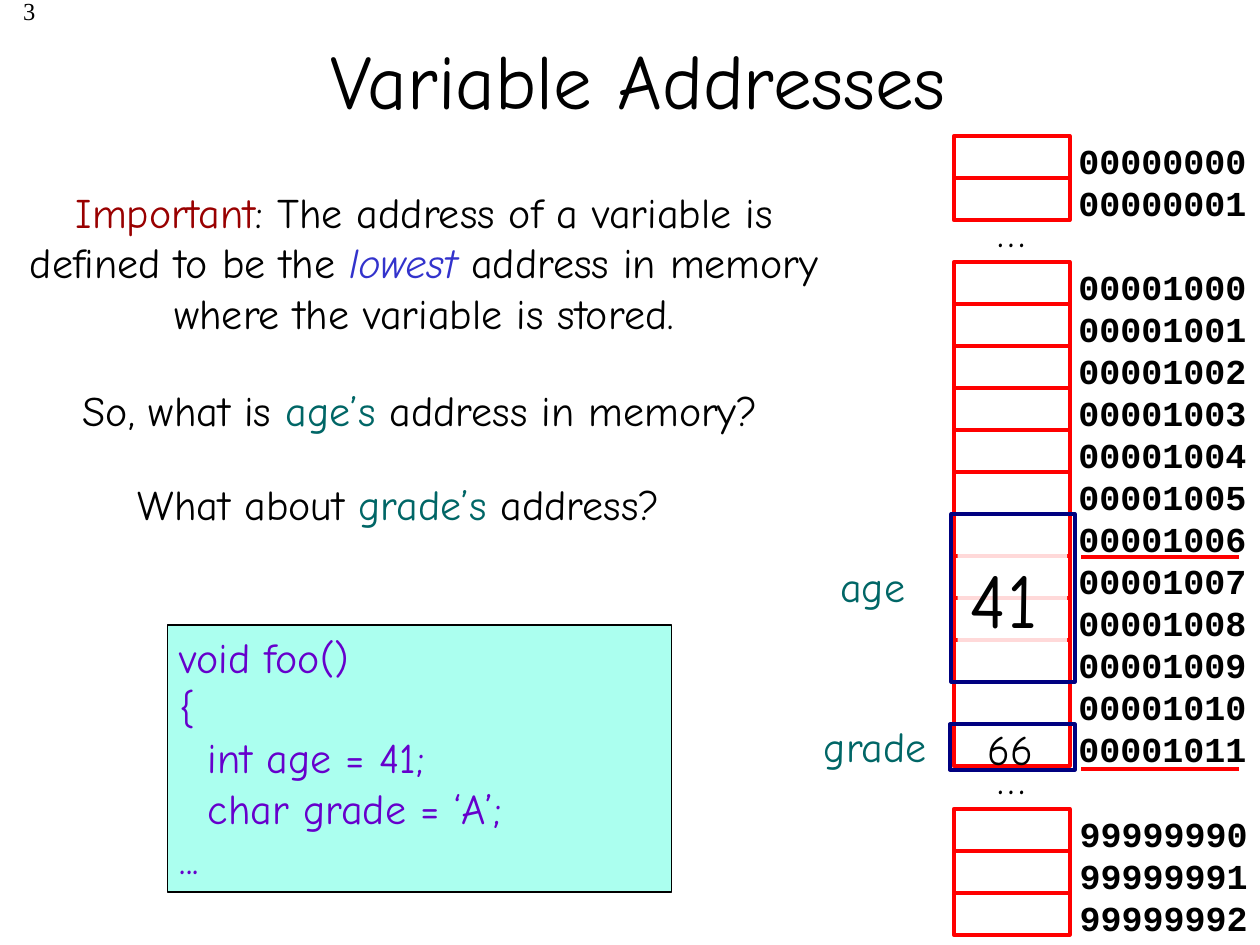
from lxml import etree
from pptx import Presentation
from pptx.dml.color import RGBColor
from pptx.enum.shapes import MSO_CONNECTOR, MSO_SHAPE
from pptx.enum.text import MSO_ANCHOR, PP_ALIGN
from pptx.oxml.ns import qn
from pptx.util import Inches, Pt

RECTANGLE = MSO_SHAPE.RECTANGLE
STRAIGHT = MSO_CONNECTOR.STRAIGHT
LEFT, CENTER, RIGHT = PP_ALIGN.LEFT, PP_ALIGN.CENTER, PP_ALIGN.RIGHT
TOP, MIDDLE = MSO_ANCHOR.TOP, MSO_ANCHOR.MIDDLE

BLACK = RGBColor(0x00, 0x00, 0x00)
WHITE = RGBColor(0xFF, 0xFF, 0xFF)
RED = RGBColor(0xFF, 0x00, 0x00)
DARK_RED = RGBColor(0x99, 0x00, 0x00)
BLUE = RGBColor(0x33, 0x33, 0xCC)
NAVY = RGBColor(0x00, 0x00, 0x80)
TEAL = RGBColor(0x00, 0x66, 0x66)
PURPLE = RGBColor(0x66, 0x00, 0xCC)
MINT = RGBColor(0xAB, 0xFF, 0xEF)

BODY_FONT = "Comic Neue"
ADDRESS_FONT = "Courier New"
CELL_LEFT, CELL_WIDTH = 7.57, 0.92
CELL_HEIGHT = 1 / 3


def add_rectangle(shapes, left, top, width, height, fill=None, line=None, weight=2.25):
    shape = shapes.add_shape(
        RECTANGLE, Inches(left), Inches(top), Inches(width), Inches(height))
    shape.shadow.inherit = False
    if fill is None:
        shape.fill.background()
    else:
        shape.fill.solid()
        shape.fill.fore_color.rgb = fill
    if line is None:
        shape.line.fill.background()
    else:
        shape.line.color.rgb = line
        shape.line.width = Pt(weight)
    return shape


def write_text(shape, paragraphs, size=24, color=BLACK, font=BODY_FONT,
               align=LEFT, anchor=TOP, wrap=True):
    """Each paragraph is a string or a list of (text, color, italic) runs."""
    frame = shape.text_frame
    frame.word_wrap = wrap
    frame.vertical_anchor = anchor
    for index, content in enumerate(paragraphs):
        paragraph = frame.add_paragraph() if index else frame.paragraphs[0]
        paragraph.alignment = align
        paragraph.font.size = Pt(size)
        paragraph.font.name = font
        if isinstance(content, str):
            paragraph.add_run().text = content
            paragraph.font.color.rgb = color
            continue
        for text, run_color, italic in content:
            run = paragraph.add_run()
            run.text = text
            run.font.color.rgb = run_color
            if italic:
                run.font.italic = True


presentation = Presentation()
presentation.slide_width = Inches(10)
presentation.slide_height = Inches(7.5)
slide = presentation.slides.add_slide(presentation.slide_layouts[6])
shapes = slide.shapes

# Slide number and title
number = shapes.add_textbox(0, Inches(-0.08), Inches(0.38), Inches(0.5))
write_text(number, ["3"], size=14, font="Times New Roman", align=RIGHT)
title = shapes.add_textbox(Inches(0.82), 0, Inches(8.5), Inches(1.25))
write_text(title, ["Variable Addresses"], size=44, align=CENTER, anchor=MIDDLE)

# Memory blocks: top of the cells, left of the addresses, addresses
memory_blocks = [
    (1.08, 8.46, ["00000000", "00000001"]),
    (2.08, 8.46, [f"{address:08d}" for address in range(1000, 1012)]),
    (6.42, 8.47, ["99999990", "99999991", "99999992"]),
]
for top, address_left, addresses in memory_blocks:
    for row in range(len(addresses)):
        add_rectangle(shapes, CELL_LEFT, top + row * CELL_HEIGHT,
                      CELL_WIDTH, CELL_HEIGHT, line=RED)
    column = shapes.add_textbox(Inches(address_left), Inches(top - 0.02), Inches(1.53),
                                Inches(len(addresses) * CELL_HEIGHT + 0.1))
    write_text(column, addresses, size=20, font=ADDRESS_FONT)
    column.text_frame.margin_right = 0
    for paragraph in column.text_frame.paragraphs:
        paragraph.font.bold = True
        paragraph.line_spacing = Pt(24)

# Gaps between the memory blocks
for top in (1.58, 5.92):
    gap = shapes.add_textbox(Inches(7.82), Inches(top), Inches(0.43), Inches(0.5))
    write_text(gap, ["…"], wrap=False)

# Explanation and questions
statements = [
    (0.07, 1.43, 6.59, 1.31, [
        ("Important", DARK_RED, False),
        (": The address of a variable is defined to be the ", BLACK, False),
        ("lowest ", BLUE, True),
        ("address in memory where the variable is stored.", BLACK, False)]),
    (0, 3, 6.67, 0.5, [
        ("So, what is ", BLACK, False), ("age’s ", TEAL, False),
        ("address in memory?", BLACK, False)]),
    (-0.17, 3.75, 6.67, 0.5, [
        ("What about ", BLACK, False), ("grade’s ", TEAL, False),
        ("address?", BLACK, False)]),
]
for left, top, width, height, runs in statements:
    statement = shapes.add_textbox(
        Inches(left), Inches(top), Inches(width), Inches(height))
    write_text(statement, [runs], align=CENTER)

# Variables: a label grouped with the frame around its cells
variables = [
    ("age", 6.57, 4.4, (7.55, 4.08, 0.98, 1.33)),
    ("grade", 6.44, 5.67, (7.54, 5.75, 0.99, 0.36)),
]
for name, left, top, frame_box in variables:
    group = shapes.add_group_shape()
    label = group.shapes.add_textbox(Inches(left), Inches(top), Inches(1.1), Inches(0.51))
    write_text(label, [name], color=TEAL)
    add_rectangle(group.shapes, *frame_box, line=NAVY)

# Values, the first on a slightly transparent white panel
age_value = add_rectangle(shapes, 7.6, 4.33, 0.87, 0.83, fill=WHITE)
panel_color = age_value.fill._xPr.find(qn("a:solidFill"))[0]
etree.SubElement(panel_color, qn("a:alpha"), val="85000")
write_text(age_value, ["41"], size=44)
grade_value = shapes.add_textbox(Inches(7.74), Inches(5.69), Inches(0.61), Inches(0.5))
write_text(grade_value, ["66"], wrap=False)

# Underlines of the two variable addresses
for y in (4.42, 6.1):
    underline = shapes.add_connector(
        STRAIGHT, Inches(8.58), Inches(y), Inches(9.83), Inches(y))
    underline.line.color.rgb = RED
    underline.line.width = Pt(2.25)
    etree.SubElement(underline._element.spPr, qn("a:effectLst"))

# Code
code = add_rectangle(shapes, 1.33, 4.96, 4, 2.12, fill=MINT, line=BLACK, weight=1)
write_text(code, ["void foo()", "{", "  int age = 41;", "  char grade = ‘A’;", "..."],
           color=PURPLE)

presentation.save("out.pptx")
